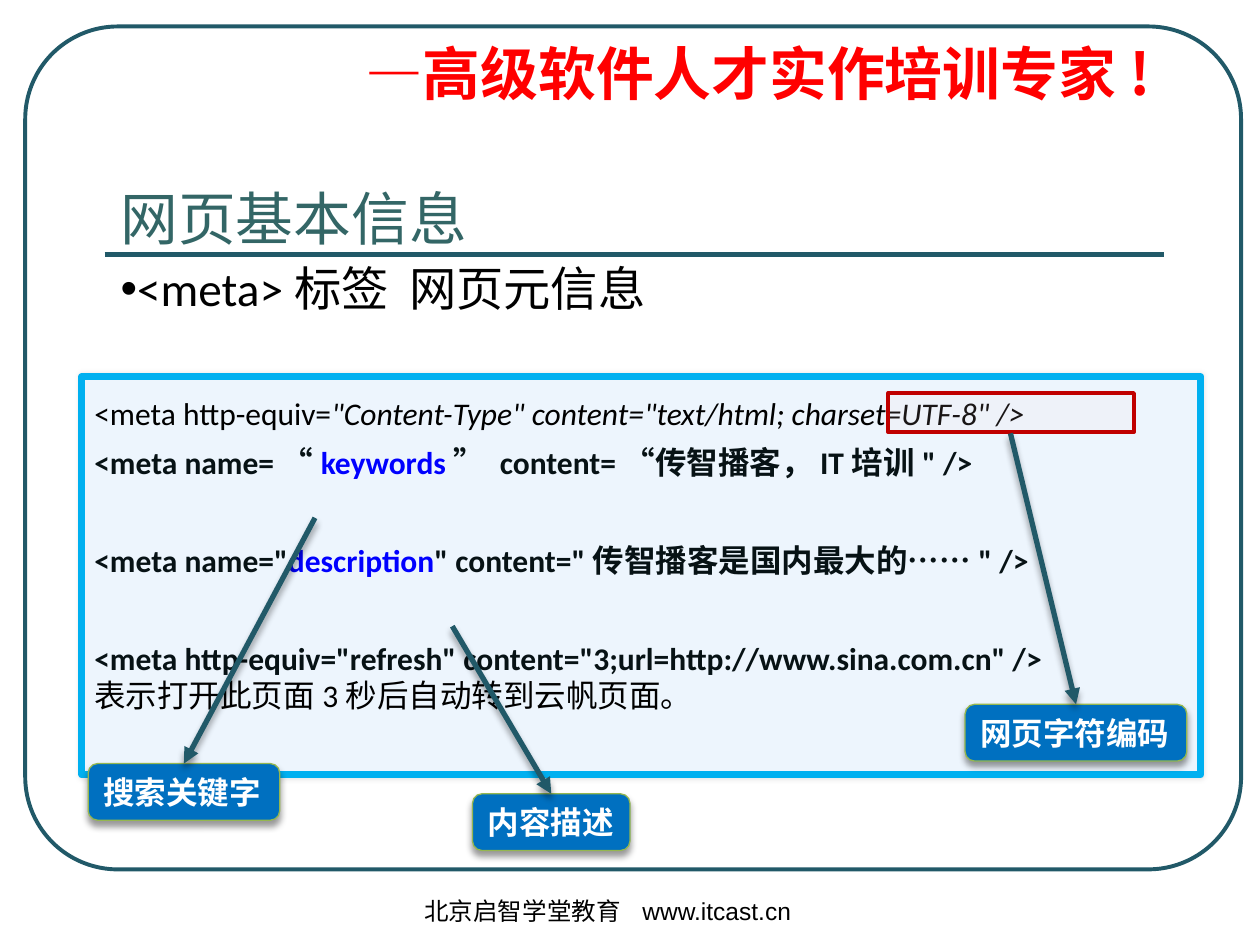
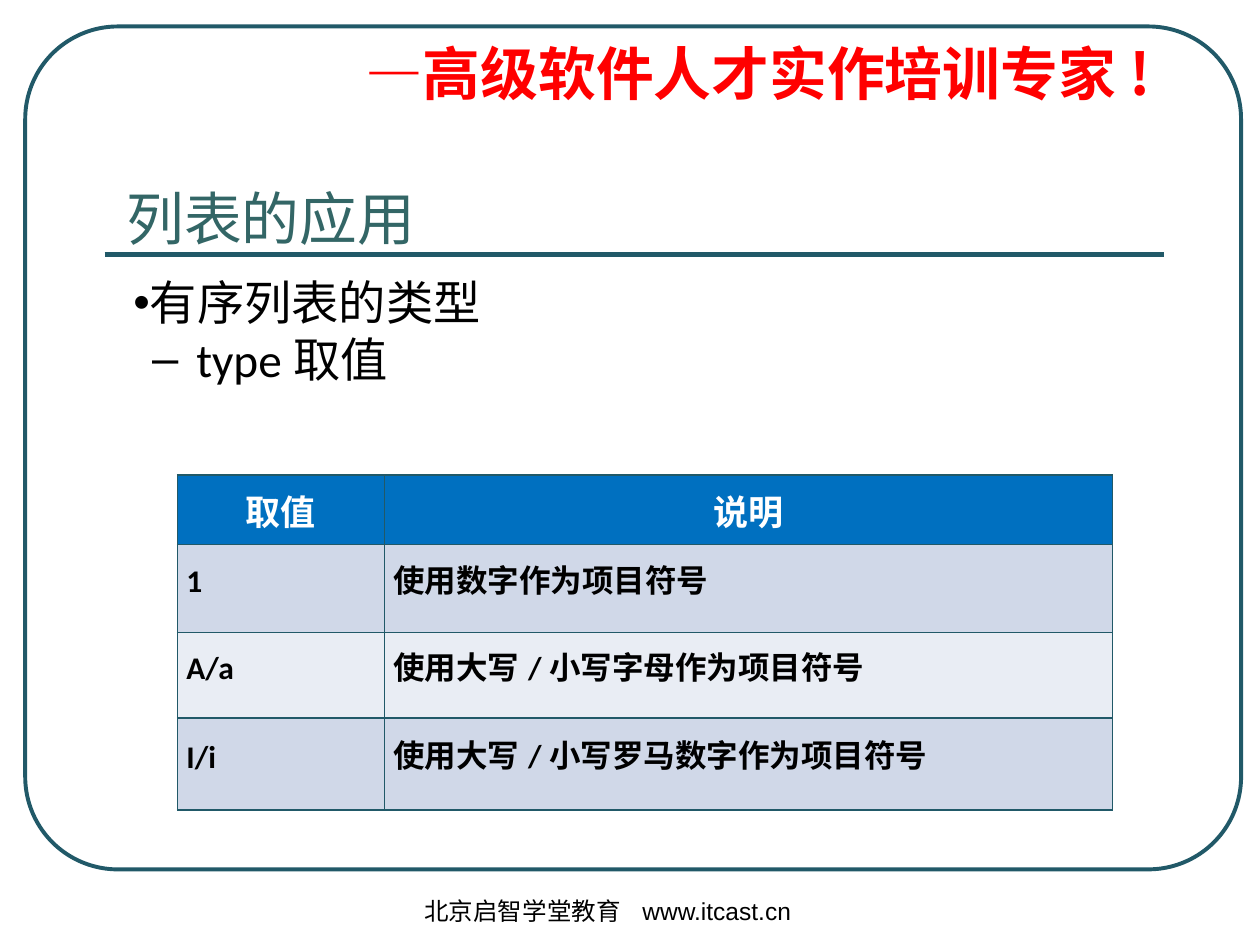
import lxml.etree
import pptx
import pptx.dml.color
import pptx.enum.shapes
import pptx.enum.text
import pptx.oxml.ns
import pptx.util
from dataclasses import dataclass

Inches = pptx.util.Inches
Pt = pptx.util.Pt
qn = pptx.oxml.ns.qn
SHAPE = pptx.enum.shapes.MSO_SHAPE
ALIGN = pptx.enum.text.PP_ALIGN
ANCHOR = pptx.enum.text.MSO_ANCHOR


@dataclass(frozen=True)
class Theme:
    teal: str = "215968"
    title: str = "336666"
    red: str = "FF0000"
    black: str = "000000"
    white: str = "FFFFFF"
    blue: str = "0070C0"
    ink: str = "071215"
    keyword: str = "0000FF"
    panel: str = "EDF5FD"
    panel_line: str = "00B0F0"
    tag_line: str = "95B74F"
    mark: str = "FFDDDD"
    mark_line: str = "C00000"
    bands: tuple = ("D0D8E8", "E9EDF4")
    latin: str = "Calibri"
    sans: str = "Arial"
    display: str = "Montserrat"
    cjk: str = "Noto Sans CJK SC"
    title_size: int = 33
    body_size: int = 27
    head_size: int = 20
    text_size: int = 18
    footer_size: int = 14


T = Theme()

SLOGAN = [("—", T.display), ("高级软件人才实作培训专家!", T.cjk)]
FOOTER = "北京启智学堂教育\twww.itcast.cn"

PLAIN = dict(color=T.black)
ITALIC = dict(color=T.black, italic=True)
BOLD = dict(color=T.ink, bold=True)
KEYWORD = dict(color=T.keyword, bold=True)

META = {
    "title": "网页基本信息",
    "point": "<meta>标签\t网页元信息",
    "code": [
        (28, 0, [("<meta http-equiv=", PLAIN),
                 ('"Content-Type" content="text/html; charset=UTF-8" />', ITALIC)]),
        (28, 0, [("<meta name=“", BOLD), ("keywords", KEYWORD),
                 ('” content=“传智播客，IT培训" />', BOLD)]),
        (28, 28, [('<meta name="', BOLD), ("description", KEYWORD),
                  ('" content="传智播客是国内最大的……" />', BOLD)]),
        (28, 28, [('<meta http-equiv="refresh" content="3;url=http://www.sina.com.cn" />', BOLD)]),
        (21, 0, [("表示打开此页面3秒后自动转到云帆页面。", PLAIN)]),
    ],
    "tags": [
        ("搜索关键字", (0.7, 6.06, 1.52, 0.45), (2.5, 4.11)),
        ("内容描述", (3.75, 6.3, 1.25, 0.45), (3.59, 4.97)),
        ("网页字符编码", (7.66, 5.59, 1.76, 0.45), (8.02, 3.44)),
    ],
}

LISTS = {
    "title": "列表的应用",
    "points": [("有序列表的类型", "•", 0.13, -0.13), ("type取值", "–", 0.5, -0.35)],
    "columns": [1.64, 5.78],
    "heights": [0.55, 0.7, 0.68, 0.73],
    "rows": [
        ("取值", "说明"),
        ("1", "使用数字作为项目符号"),
        ("A/a", "使用大写/小写字母作为项目符号"),
        ("I/i", "使用大写/小写罗马数字作为项目符号"),
    ],
}


def rgb(color):
    return pptx.dml.color.RGBColor.from_string(color)


def sub(parent, tag, **attrs):
    el = lxml.etree.SubElement(parent, qn(tag))
    for key, value in attrs.items():
        el.set(key, str(value))
    return el


def add_run(p, text, size, color=T.black, font=T.latin, bold=False, italic=False):
    r = p.add_run()
    r.text = text
    f = r.font
    f.size, f.bold, f.italic, f.name = Pt(size), bold, italic, font
    f.color.rgb = rgb(color)
    ea = lxml.etree.Element(qn("a:ea"), typeface=T.cjk)
    r._r.rPr.find(qn("a:latin")).addnext(ea)


def add_text(slide, box):
    tf = slide.shapes.add_textbox(*map(Inches, box)).text_frame
    tf.word_wrap = True
    return tf


def set_bullet(p, char, margin, indent):
    pPr = p._p.get_or_add_pPr()
    pPr.set("marL", str(Inches(margin)))
    pPr.set("indent", str(Inches(indent)))
    sub(pPr, "a:buFont", typeface=T.sans)
    sub(pPr, "a:buChar", char=char)


def set_tab(p, position):
    tabs = sub(p._p.get_or_add_pPr(), "a:tabLst")
    sub(tabs, "a:tab", pos=Inches(position), algn="l")


def add_shadow(spPr, alpha, blur, dist=0, angle=0):
    effects = spPr.find(qn("a:effectLst"))
    shadow = sub(effects, "a:outerShdw", blurRad=Pt(blur), dist=Pt(dist),
                 dir=angle * 60000, algn="ctr", rotWithShape=0)
    sub(sub(shadow, "a:srgbClr", val=T.black), "a:alpha", val=alpha * 1000)


def add_box(slide, kind, box, fill, line, width, adj=None):
    sp = slide.shapes.add_shape(kind, *map(Inches, box))
    sp.shadow.inherit = False
    if fill:
        sp.fill.solid()
        sp.fill.fore_color.rgb = rgb(fill)
    else:
        sp.fill.background()
    sp.line.color.rgb = rgb(line)
    sp.line.width = Pt(width)
    if adj is not None:
        sp.adjustments[0] = adj
    return sp


def add_line(slide, start, end, arrow=False):
    line = slide.shapes.add_connector(
        pptx.enum.shapes.MSO_CONNECTOR.STRAIGHT, *map(Inches, start + end))
    line.line.color.rgb = rgb(T.teal)
    line.line.width = Pt(3)
    spPr = line.element.spPr
    sub(spPr, "a:effectLst")
    if arrow:
        sub(spPr.find(qn("a:ln")), "a:tailEnd", type="triangle")
        add_shadow(spPr, 40, 4, 3, 90)


def new_slide(prs, title, center, font):
    slide = prs.slides.add_slide(prs.slide_layouts[5])
    add_box(slide, SHAPE.ROUNDED_RECTANGLE, (0.2, 0.21, 9.65, 6.69), None, T.teal, 2.25, 0.11)
    add_line(slide, (0.83, 2.02), (9.24, 2.02))

    tf = add_text(slide, (2.8, 0.36, 6.3, 0.6))
    tf.margin_top = 0
    p = tf.paragraphs[0]
    p.line_spacing = 0.9
    for text, face in SLOGAN:
        add_run(p, text, T.title_size, T.red, face, bold=True)

    sp = slide.shapes.title
    width = 4.2
    sp.left, sp.top = Inches(center - width / 2), Inches(1.4)
    sp.width, sp.height = Inches(width), Inches(1.25)
    tf = sp.text_frame
    tf.vertical_anchor = ANCHOR.TOP
    p = tf.paragraphs[0]
    p.alignment = ALIGN.CENTER
    add_run(p, title, T.title_size, T.title, font)

    p = add_text(slide, (3.27, 7.06, 3.4, 0.4)).paragraphs[0]
    set_tab(p, 1.73)
    add_run(p, FOOTER, T.footer_size, font=T.sans)
    return slide


def build_meta(prs):
    slide = new_slide(prs, META["title"], 2.33, T.latin)
    p = add_text(slide, (0.86, 2.01, 8.36, 0.64)).paragraphs[0]
    set_bullet(p, "•", 0.13, -0.13)
    set_tab(p, 2.29)
    add_run(p, META["point"], T.body_size)

    panel = add_box(slide, SHAPE.ROUNDED_RECTANGLE, (0.65, 2.99, 8.88, 3.16),
                    T.panel, T.panel_line, 4, 0)
    add_shadow(panel.element.spPr, 10, 3)
    tf = panel.text_frame
    tf.word_wrap = True
    tf.vertical_anchor = ANCHOR.TOP
    for i, (pitch, gap, runs) in enumerate(META["code"]):
        p = tf.add_paragraph() if i else tf.paragraphs[0]
        p.alignment = ALIGN.LEFT
        p.line_spacing = Pt(pitch)
        p.space_before = Pt(gap)
        for text, style in runs:
            add_run(p, text, T.text_size, **style)

    mark = add_box(slide, SHAPE.RECTANGLE, (7.05, 3.12, 1.95, 0.31), T.mark, T.mark_line, 2.25)
    color = mark.element.spPr.find(qn("a:solidFill")).find(qn("a:srgbClr"))
    sub(color, "a:alpha", val=10000)

    for text, box, start in META["tags"]:
        tag = add_box(slide, SHAPE.ROUNDED_RECTANGLE, box, T.blue, T.tag_line, 0.75, 0.167)
        add_shadow(tag.element.spPr, 40, 4, 3, 90)
        tf = tag.text_frame
        tf.word_wrap = False
        tf.vertical_anchor = ANCHOR.MIDDLE
        p = tf.paragraphs[0]
        p.alignment = ALIGN.LEFT
        add_run(p, text, T.text_size, T.white, T.sans, bold=True)
        left, top, width, _ = box
        add_line(slide, start, (left + width / 2, top), arrow=True)


def format_cell(cell, text, row):
    head = row == 0
    cell.fill.solid()
    cell.fill.fore_color.rgb = rgb(T.blue if head else T.bands[(row - 1) % 2])
    cell.vertical_anchor = ANCHOR.MIDDLE
    p = cell.text_frame.paragraphs[0]
    if head:
        p.alignment = ALIGN.CENTER
        add_run(p, text, T.head_size, T.white, T.cjk, bold=True)
    else:
        cell.margin_left = cell.margin_right = Inches(0.07)
        cell.margin_top = cell.margin_bottom = 0
        p.alignment = ALIGN.JUSTIFY
        p.line_spacing = Pt(14.5)
        add_run(p, text, T.text_size, bold=True)
    tcPr = cell._tc.tcPr
    for i, side in enumerate("LRTB"):
        ln = lxml.etree.Element(qn("a:ln" + side), w=str(Pt(1)))
        sub(sub(ln, "a:solidFill"), "a:srgbClr", val=T.teal)
        tcPr.insert(i, ln)


def build_lists(prs):
    slide = new_slide(prs, LISTS["title"], 2.15, T.sans)
    tf = add_text(slide, (0.96, 2.05, 7.19, 1.48))
    tf.margin_top = Inches(0.12)
    for i, (text, char, margin, indent) in enumerate(LISTS["points"]):
        p = tf.add_paragraph() if i else tf.paragraphs[0]
        p.level = i
        set_bullet(p, char, margin, indent)
        add_run(p, text, T.body_size)

    columns, heights, rows = LISTS["columns"], LISTS["heights"], LISTS["rows"]
    frame = (1.41, 3.77, sum(columns), sum(heights))
    table = slide.shapes.add_table(len(rows), len(columns), *map(Inches, frame)).table
    for column, width in zip(table.columns, columns):
        column.width = Inches(width)
    for i, (row, height) in enumerate(zip(table.rows, heights)):
        row.height = Inches(height)
        for cell, text in zip(row.cells, rows[i]):
            format_cell(cell, text, i)


def main():
    prs = pptx.Presentation()
    prs.slide_width, prs.slide_height = Inches(10), Inches(7.5)
    build_meta(prs)
    build_lists(prs)
    prs.save("out.pptx")


if __name__ == "__main__":
    main()
